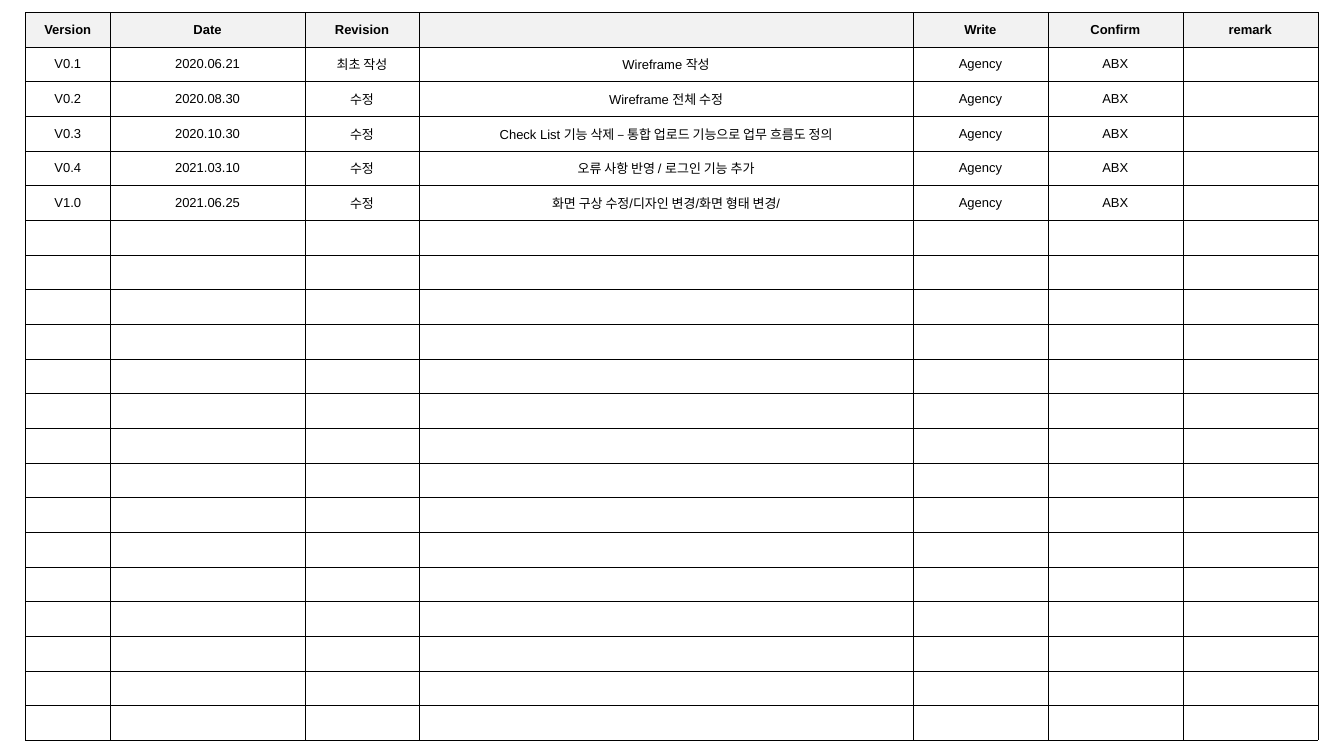
"""Build the revision history slide of a wireframe document."""
from lxml.etree import SubElement
from pptx import Presentation
from pptx.dml.color import RGBColor
from pptx.enum.text import MSO_ANCHOR, PP_ALIGN
from pptx.oxml.ns import qn
from pptx.util import Cm, Pt

BLACK = RGBColor(0x00, 0x00, 0x00)
HEADER_GREY = RGBColor(0xF2, 0xF2, 0xF2)
WRITER, CONFIRMER = "Agency", "ABX"
ROW_COUNT = 21
COLUMN_WIDTHS = [3.0, 6.86, 4.04, 17.42, 4.76, 4.76, 4.76]
TABLE_HEIGHT = 25.7

HEADINGS = ["Version", "Date", "Revision", "", "Write", "Confirm", "remark"]
REVISIONS = [
    ["V0.1", "2020.06.21", "최초 작성", "Wireframe 작성"],
    ["V0.2", "2020.08.30", "수정", "Wireframe 전체 수정"],
    ["V0.3", "2020.10.30", "수정", "Check List 기능 삭제 – 통합 업로드 기능으로 업무 흐름도 정의"],
    ["V0.4", "2021.03.10", "수정", "오류 사항 반영 / 로그인 기능 추가"],
    ["V1.0", "2021.06.25", "수정", "화면 구상 수정/디자인 변경/화면 형태 변경/"],
]


def add_borders(cell):
    properties = cell._tc.get_or_add_tcPr()
    for side in ("a:lnL", "a:lnR", "a:lnT", "a:lnB"):
        line = SubElement(properties, qn(side), w=str(Pt(0.25)))
        fill = SubElement(line, qn("a:solidFill"))
        SubElement(fill, qn("a:srgbClr"), val=str(BLACK))


def write_text(cell, text, bold):
    cell.text_frame.text = text
    para = cell.text_frame.paragraphs[0]
    para.alignment = PP_ALIGN.CENTER
    for span in para.runs:
        span.font.name = "Arial"
        span.font.size = Pt(13)
        span.font.bold = bold
        span.font.color.rgb = BLACK


deck = Presentation()
deck.slide_width, deck.slide_height = Cm(47.42), Cm(26.67)
page = deck.slides.add_slide(deck.slide_layouts[6])

frame = page.shapes.add_table(
    ROW_COUNT, len(COLUMN_WIDTHS), Cm(0.89), Cm(0.43),
    Cm(sum(COLUMN_WIDTHS)), Cm(TABLE_HEIGHT))
history = frame.table
history.horz_banding = False
for column, width in zip(history.columns, COLUMN_WIDTHS):
    column.width = Cm(width)

filled_rows = [HEADINGS] + [revision + [WRITER, CONFIRMER, ""] for revision in REVISIONS]
for row_index, row in enumerate(history.rows):
    row.height = Cm(TABLE_HEIGHT / ROW_COUNT)
    is_header = row_index == 0
    texts = filled_rows[row_index] if row_index < len(filled_rows) else [""] * len(HEADINGS)
    for cell, text in zip(row.cells, texts):
        cell.vertical_anchor = MSO_ANCHOR.MIDDLE
        cell.margin_left = cell.margin_right = Cm(0.33)
        cell.margin_top = cell.margin_bottom = Cm(0.17)
        add_borders(cell)
        if is_header:
            cell.fill.solid()
            cell.fill.fore_color.rgb = HEADER_GREY
        else:
            cell.fill.background()
        if text:
            write_text(cell, text, is_header)

deck.save("out.pptx")
